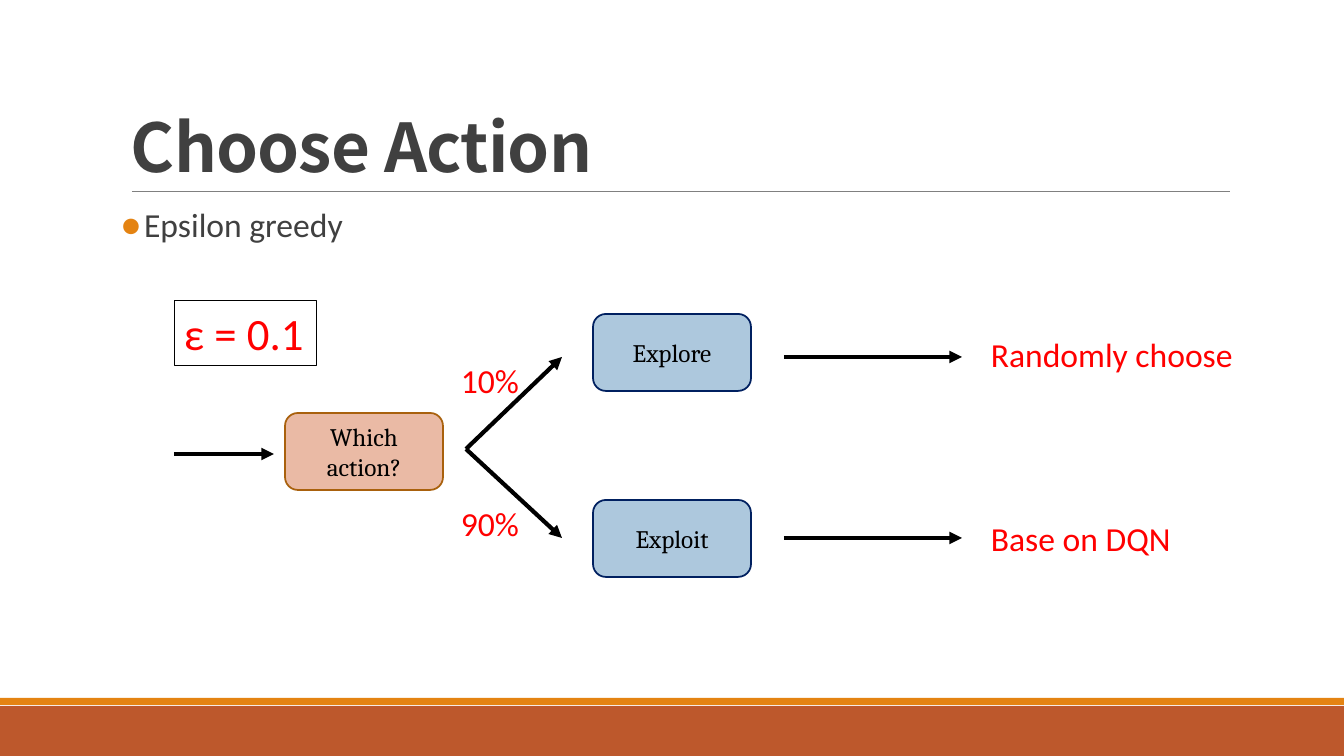
from typing import NamedTuple

from lxml import etree
from pptx import Presentation
from pptx.dml.color import RGBColor
from pptx.enum import shapes, text
from pptx.oxml import ns
from pptx import util as u

PX = 914400 / 100.8  # EMU per pixel
COLORS = {
    "rust": "BD582C", "orange": "E48312", "rule": "808080", "dark": "404040",
    "black": "000000", "red": "FF0000", "navy": "002060", "blue": "ADC8DD",
    "brown": "A9610D", "peach": "EABAA5",
}


class Box(NamedTuple):
    x: int
    y: int
    w: int
    h: int


class Node(NamedTuple):
    label: str
    x: int
    y: int
    fill: str
    line: str


class Arrow(NamedTuple):
    x1: int
    y1: int
    x2: int
    y2: int


class Label(NamedTuple):
    label: str
    x: int
    y: int
    w: int


def px(n: float) -> int:
    return u.Emu(round(n * PX))


def rgb(name: str) -> RGBColor:
    return RGBColor.from_string(COLORS[name])


def add_sub(parent, tag: str, **attrs: str):
    return etree.SubElement(parent, ns.qn(tag), attrs)


def write(sp, content: str, size: float, color: str = "red", font: str = "Calibri",
          bold: bool = False, align=text.PP_ALIGN.LEFT, anchor=text.MSO_ANCHOR.TOP,
          wrap: bool = True):
    """Put one formatted paragraph in a shape."""
    tf = sp.text_frame
    tf.word_wrap = wrap
    tf.vertical_anchor = anchor
    p = tf.paragraphs[0]
    p.alignment = align
    r = p.add_run()
    r.text = content
    r.font.size = u.Pt(size)
    r.font.name = font
    r.font.bold = bold
    r.font.color.rgb = rgb(color)
    return p


def add_text(box: Box, content: str, size: float, **fmt):
    sp = s.shapes.add_textbox(*map(px, box))
    return sp, write(sp, content, size, **fmt)


def add_box(box: Box, kind=shapes.MSO_SHAPE.RECTANGLE, fill: str = "",
            line: str = "", width: float = 0.75):
    sp = s.shapes.add_shape(kind, *map(px, box))
    sp.shadow.inherit = False
    if fill:
        sp.fill.solid()
        sp.fill.fore_color.rgb = rgb(fill)
    else:
        sp.fill.background()
    if line:
        sp.line.color.rgb = rgb(line)
        sp.line.width = u.Pt(width)
    else:
        sp.line.fill.background()
    return sp


def add_line(a: Arrow, color: str = "black", width: float = 3, head: bool = True) -> None:
    sp = s.shapes.add_connector(shapes.MSO_CONNECTOR.STRAIGHT, *map(px, a))
    sp.line.color.rgb = rgb(color)
    sp.line.width = u.Pt(width)
    if head:
        add_sub(sp.line._get_or_add_ln(), "a:tailEnd", type="triangle")
    add_sub(sp._element.spPr, "a:effectLst")


prs = Presentation()
prs.slide_width, prs.slide_height = px(1344), px(756)
s = prs.slides.add_slide(prs.slide_layouts[6])

# Footer bands and title rule
add_box(Box(0, 706, 1344, 50), fill="rust")
add_box(Box(0, 698, 1344, 7), fill="orange")
add_line(Arrow(132, 191, 1230, 191), color="rule", width=0.5, head=False)

# Title
sp, p = add_text(Box(121, 31, 1109, 160), "Choose Action", 48, color="dark",
                 font="Noto Sans CJK SC", bold=True, anchor=text.MSO_ANCHOR.BOTTOM)
p.line_spacing = 0.85
p.runs[0].font._element.set("spc", "-50")

# Bulleted body
sp, p = add_text(Box(121, 204, 1109, 444), "Epsilon greedy", 24, color="dark")
sp.text_frame.margin_left = sp.text_frame.margin_right = 0
p.line_spacing = 0.9
p.space_before, p.space_after = u.Pt(12), u.Pt(2)
pPr = p._p.get_or_add_pPr()
pPr.set("marL", str(px(23)))
pPr.set("indent", str(-px(23)))
add_sub(add_sub(pPr, "a:buClr"), "a:srgbClr", val=COLORS["orange"])
add_sub(pPr, "a:buSzPts", val="2000")
add_sub(pPr, "a:buFont", typeface="Calibri")
add_sub(pPr, "a:buChar", char="●")

# Epsilon value
write(add_box(Box(174, 301, 143, 65), line="black"), "ε = 0.1", 32, wrap=False)

# Decision and its two outcomes
NODES = [
    Node("Which action?", 285, 413, "peach", "brown"),
    Node("Explore", 593, 314, "blue", "navy"),
    Node("Exploit", 593, 500, "blue", "navy"),
]
for n in NODES:
    sp = add_box(Box(n.x, n.y, 158, 77), shapes.MSO_SHAPE.ROUNDED_RECTANGLE,
                 n.fill, n.line, 1.25)
    write(sp, n.label, 18, color="black", font="Cambria",
          align=text.PP_ALIGN.CENTER, anchor=text.MSO_ANCHOR.MIDDLE)

# Arrows: entry, then a branch and a result per outcome
add_line(Arrow(174, 454, 274, 454))
for y in (357, 538):
    add_line(Arrow(466, 449, 562, y))
    add_line(Arrow(784, y, 962, y))

# Probabilities and results
LABELS = [
    Label("Randomly choose", 981, 329, 270),
    Label("Base on DQN", 981, 513, 270),
    Label("10%", 451, 355, 113),
    Label("90%", 451, 498, 113),
]
for n in LABELS:
    add_text(Box(n.x, n.y, n.w, 50), n.label, 24)

prs.save("out.pptx")
